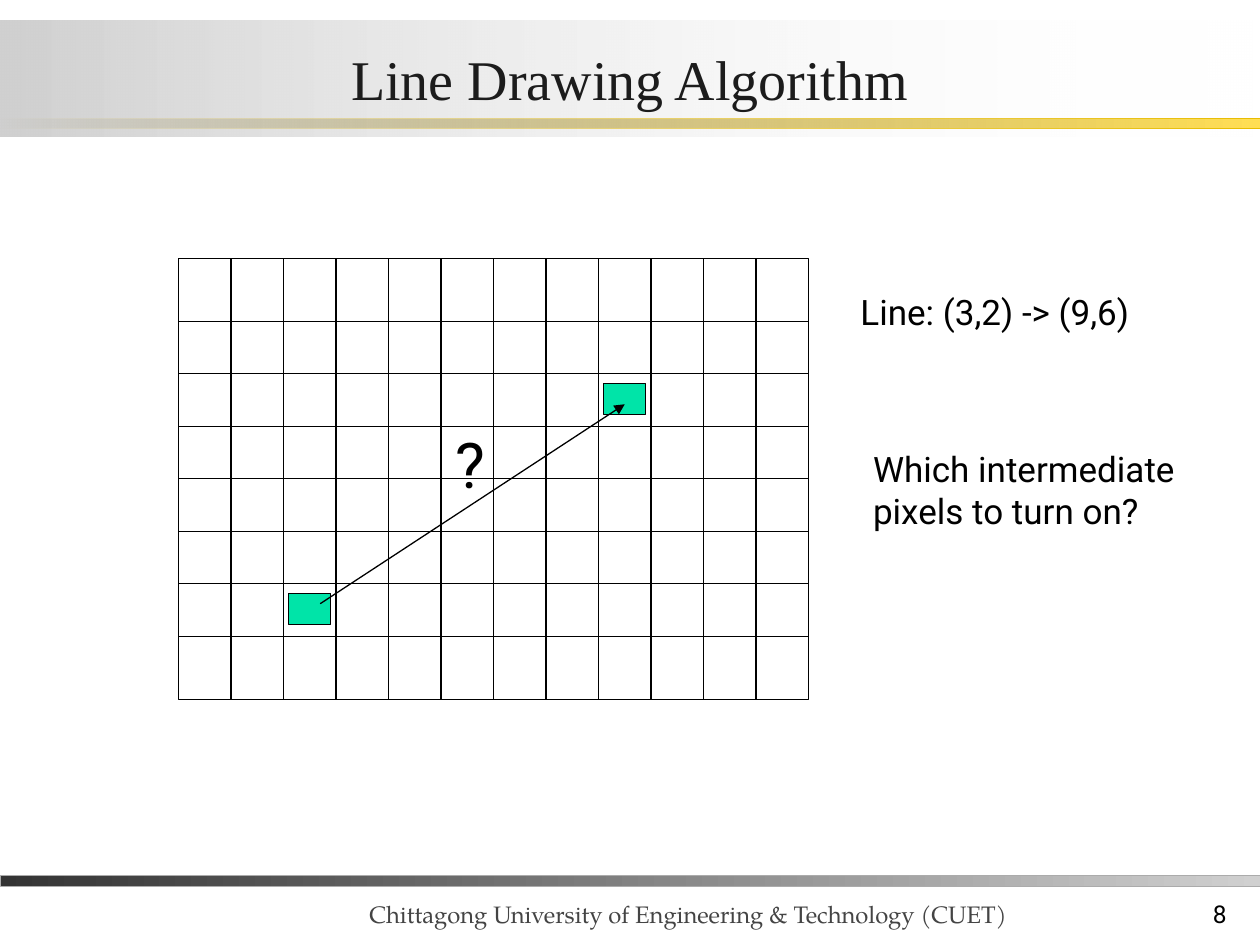
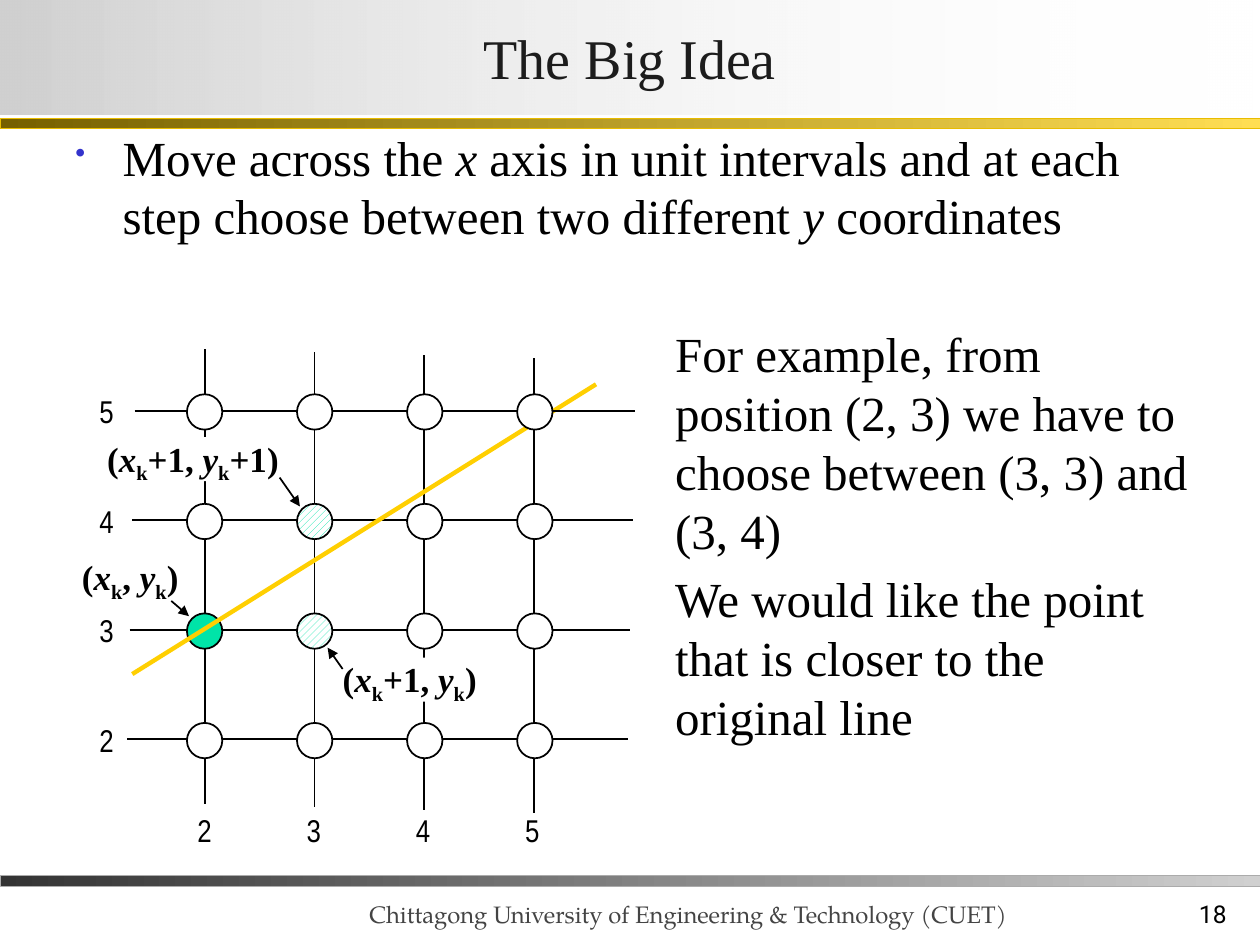
import lxml.etree
import pptx
import pptx.dml.color
import pptx.enum.dml
import pptx.enum.shapes
import pptx.enum.text
import pptx.oxml.ns
import pptx.util

Pt = pptx.util.Pt
RGBColor = pptx.dml.color.RGBColor
MSO_SHAPE = pptx.enum.shapes.MSO_SHAPE
ANCHOR = pptx.enum.text.MSO_ANCHOR
ALIGN = pptx.enum.text.PP_ALIGN

BLACK = RGBColor(0x00, 0x00, 0x00)
WHITE = RGBColor(0xFF, 0xFF, 0xFF)
INK = RGBColor(0x1C, 0x1C, 0x1C)
FOOTER_INK = RGBColor(0x44, 0x44, 0x44)
DARK_GREY = RGBColor(0x33, 0x33, 0x33)
MID_GREY = RGBColor(0xAB, 0xAB, 0xAB)
LIGHT_GREY = RGBColor(0xD0, 0xD0, 0xD0)
BROWN = RGBColor(0x76, 0x60, 0x00)
GOLD = RGBColor(0xFF, 0xDE, 0x53)
GOLD_EDGE = RGBColor(0xE8, 0xBC, 0x00)
YELLOW = RGBColor(0xFF, 0xCF, 0x01)
GREEN = RGBColor(0x00, 0xE4, 0xA8)
BLUE = RGBColor(0x33, 0x33, 0xCC)

SERIF = "Times New Roman"
SANS = "Roboto"
NARROW = "Arial Narrow"
FOOTER_FONT = "TeX Gyre Pagella"
FOOTER = "Chittagong University of Engineering & Technology (CUET)"


def sub(parent, tag, **attrs):
    return lxml.etree.SubElement(parent, pptx.oxml.ns.qn(tag), **attrs)


def write(tf, text, size=20, font=SANS, color=BLACK, bold=False,
          align=ALIGN.LEFT, before=0, bullet=False):
    """Parts are split by |; a leading / is italic, a leading _ is subscript."""
    for i, line in enumerate(text.split("\n")):
        p = tf.add_paragraph() if i else tf.paragraphs[0]
        p.alignment = align
        p.space_before = Pt(before)
        if bullet:
            pPr = p._p.get_or_add_pPr()
            pPr.set("marL", str(Pt(27)))
            pPr.set("indent", str(Pt(-27)))
            sub(sub(pPr, "a:buClr"), "a:srgbClr", val=str(BLUE))
            sub(pPr, "a:buSzPct", val="60000")
            sub(pPr, "a:buChar", char="•")
        for part in line.split("|"):
            r = p.add_run()
            r.text = part.lstrip("/_")
            r.font.size = Pt(size)
            r.font.name = font
            r.font.color.rgb = color
            r.font.bold = bold
            r.font.italic = part.startswith("/")
            if part.startswith("_"):
                r.font._element.set("baseline", "-25000")


class Deck:
    def __init__(self):
        self.prs = pptx.Presentation()
        self.prs.slide_width = Pt(720)
        self.prs.slide_height = Pt(540)
        self.s = None

    def slide(self, title, number, top, height):
        self.s = self.prs.slides.add_slide(self.prs.slide_layouts[6])
        self.text(558, 498, 150, 36, str(number), wrap=True,
                  anchor=ANCHOR.BOTTOM, size=14, align=ALIGN.RIGHT)
        self.text(204, 489.6, 390, 44.6, FOOTER, wrap=True,
                  anchor=ANCHOR.BOTTOM, size=13.6, font=FOOTER_FONT,
                  color=FOOTER_INK)
        self.band(500.4, 5.8, DARK_GREY, LIGHT_GREY, MID_GREY)
        self.band(67.7, 5.8, BROWN, GOLD, GOLD_EDGE)
        sp = self.band(top, height, LIGHT_GREY, WHITE)
        last = sp.fill.gradient_stops[1]._gs
        sub(last.find(pptx.oxml.ns.qn("a:srgbClr")), "a:alpha", val="0")
        self.frame(sp.text_frame, True, ANCHOR.MIDDLE, (1.4, 0.7, 1.4, 0.7))
        write(sp.text_frame, title, size=32, font=SERIF, color=INK,
              align=ALIGN.CENTER)

    def shape(self, kind, x, y, w, h, fill=None, line=BLACK, width=0.75):
        sp = self.s.shapes.add_shape(kind, Pt(x), Pt(y), Pt(w), Pt(h))
        sp.shadow.inherit = False
        if fill is None:
            sp.fill.background()
        else:
            sp.fill.solid()
            sp.fill.fore_color.rgb = fill
        if line is None:
            sp.line.fill.background()
        else:
            sp.line.color.rgb = line
            sp.line.width = Pt(width)
        return sp

    def band(self, y, h, start, end, line=None):
        sp = self.shape(MSO_SHAPE.RECTANGLE, 0, y, 720, h, None, line, 0.25)
        sp.fill.gradient()
        sp.fill.gradient_angle = 0
        stops = sp.fill.gradient_stops
        for stop, color, position in zip(stops, (start, end), (0, 1)):
            stop.color.rgb = color
            stop.position = position
        return sp

    def hatch(self, sp):
        sp.fill.patterned()
        sp.fill.pattern = pptx.enum.dml.MSO_PATTERN.WIDE_UPWARD_DIAGONAL
        sp.fill.fore_color.rgb = GREEN
        sp.fill.back_color.rgb = WHITE

    def line(self, x1, y1, x2, y2, color=BLACK, width=1, arrow=False):
        c = self.s.shapes.add_connector(
            pptx.enum.shapes.MSO_CONNECTOR.STRAIGHT,
            Pt(x1), Pt(y1), Pt(x2), Pt(y2))
        c.line.color.rgb = color
        c.line.width = Pt(width)
        spPr = c._element.spPr
        if arrow:
            sub(spPr.find(pptx.oxml.ns.qn("a:ln")), "a:tailEnd", type="triangle")
        sub(spPr, "a:effectLst")

    def frame(self, tf, wrap, anchor, margins):
        tf.word_wrap = wrap
        tf.vertical_anchor = anchor
        (tf.margin_left, tf.margin_top,
         tf.margin_right, tf.margin_bottom) = map(Pt, margins)

    def text(self, x, y, w, h, text, wrap=False, anchor=ANCHOR.TOP,
             margins=(7.2, 3.6, 7.2, 3.6), fill=None, **style):
        sp = self.s.shapes.add_textbox(Pt(x), Pt(y), Pt(w), Pt(h))
        tf = sp.text_frame
        self.frame(tf, wrap, anchor, margins)
        if not wrap:
            tf.auto_size = pptx.enum.text.MSO_AUTO_SIZE.SHAPE_TO_FIT_TEXT
        if fill is not None:
            sp.fill.solid()
            sp.fill.fore_color.rgb = fill
        write(tf, text, **style)


def line_drawing(d):
    d.slide("Line Drawing Algorithm", 8, 12, 65.8)
    left, top, w, h, cell = 102, 147.6, 360, 252, 30
    d.shape(MSO_SHAPE.RECTANGLE, left, top, w, h)
    for i in range(1, 12):
        x = left + cell * i
        d.line(x, top, x, top + h, width=0.75)
    for i in range(7):
        y = top + 36 + cell * i
        d.line(left, y, left + w, y, width=0.75)
    for col, row in ((3, 2), (9, 6)):
        d.shape(MSO_SHAPE.RECTANGLE, left + cell * (col - 1) + 3,
                399 - cell * row, 24, 18, GREEN)
    d.text(484.6, 162.7, 184.3, 31, "Line: (3,2) -> (9,6)")
    d.line(183, 345, 357, 231, width=0.75, arrow=True)
    d.text(253.4, 239.8, 31.7, 50.4, "?", size=36)
    d.text(491.8, 252, 192.2, 55.4, "Which intermediate\npixels to turn on?")


def big_idea(d):
    d.slide("The Big Idea", 18, 0, 65.5)
    d.text(36, 69.1, 648, 126.7,
           "Move across the |/x| axis in unit intervals and at each step "
           "choose between two different |/y| coordinates",
           wrap=True, size=28, font=SERIF, before=5.6, bullet=True)
    step, dot = 62.6, 20.2
    for i in range(4):
        x, y = 117.2 + step * i, 199.6 + 1.7 * i
        d.line(x, y, x, y + 259.6)
    for row in range(2, 6):
        i = 5 - row
        if row == 5:
            d.line(75.6, 385.2, 340.6, 219.6, YELLOW, 2.5)
        x, y = 77 - 1.44 * i, 234.7 + step * i
        d.line(x, y, x + 286, y)
        for col in range(2, 6):
            sp = d.shape(MSO_SHAPE.OVAL, 106.8 + 62.9 * (col - 2),
                         225.3 + step * i, dot, dot,
                         GREEN if (col, row) == (2, 3) else WHITE, width=1)
            if (col, row) in ((3, 3), (3, 4)):
                d.hatch(sp)
    for n in range(2, 6):
        for x, y in ((105.8 + 62.4 * (n - 2), 460),
                     (49.7, 220.3 + 62.8 * (5 - n))):
            d.text(x, y, 24.5, 28.8, str(n), size=18, font=NARROW)
    d.text(378.7, 181.4, 317.5, 322.6,
           "For example, from position (2, 3) we have to choose between "
           "(3, 3) and (3, 4)\n"
           "We would like the point that is closer to the original line",
           wrap=True, size=28, font=SERIF, before=5.6)
    for x, y, w, dx, dy in ((46.8, 317.5, 56.9, "", ""),
                            (195.8, 375.8, 77.8, "+1", ""),
                            (61.2, 249.8, 99.4, "+1", "+1")):
        d.text(x, y, w, 25.2, f"(|/x|_k|{dx}, |/y|_k|{dy})",
               margins=(0, 0, 0, 1.4), fill=WHITE, font=SERIF, bold=True)
    for ends in ((159.8, 272.9, 171.4, 289.4),
                 (195.8, 382.3, 187.2, 370.1),
                 (97.9, 343.4, 108, 352.1)):
        d.line(*ends, arrow=True)


def main():
    d = Deck()
    line_drawing(d)
    big_idea(d)
    d.prs.save("out.pptx")


if __name__ == "__main__":
    main()
